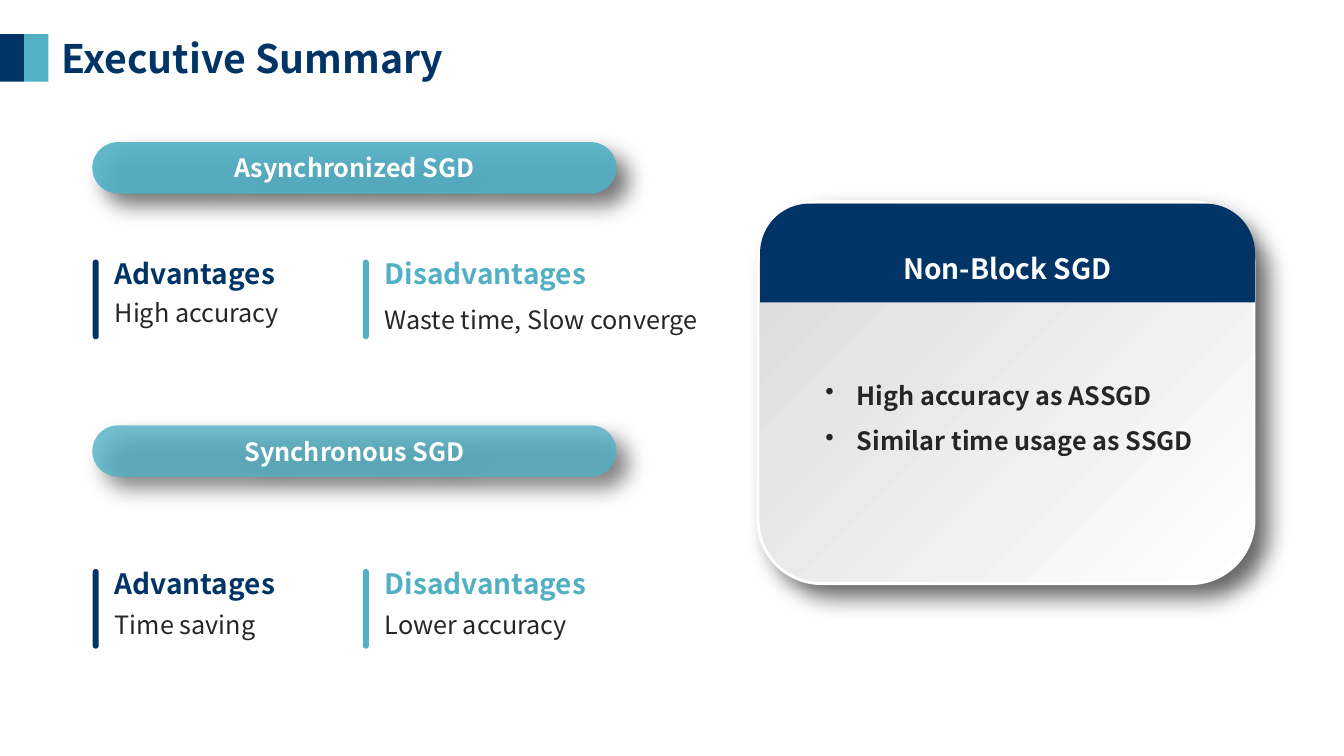
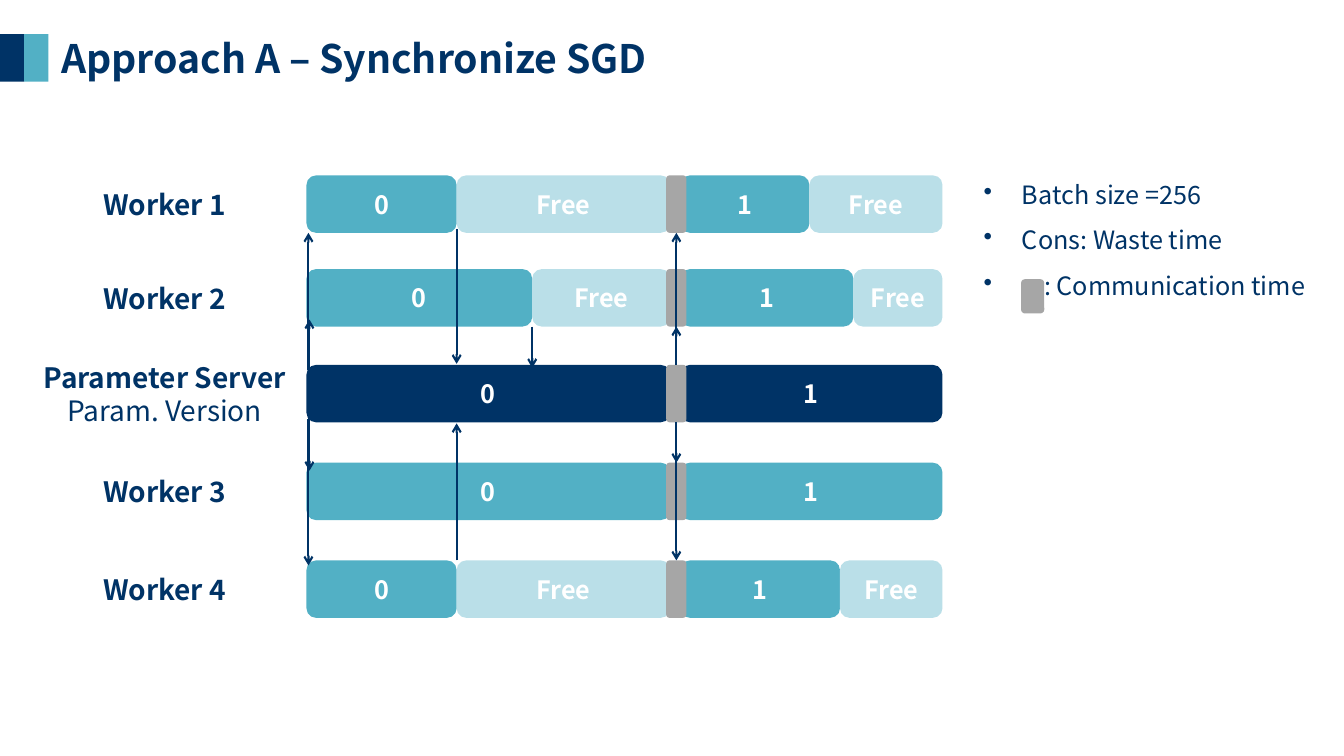
from lxml.etree import SubElement
from pptx import Presentation
from pptx.dml.color import RGBColor
from pptx.enum.shapes import MSO_CONNECTOR, MSO_SHAPE
from pptx.enum.text import MSO_ANCHOR, PP_ALIGN
from pptx.oxml.ns import qn
from pptx.util import Inches, Pt

# Shared look
FONT = "Noto Sans CJK SC"
NAVY, TEAL, PALE = "003366", "52B0C5", "BADFE8"
GREY, INK, WHITE = "A6A6A6", "262626", "FFFFFF"
RECTANGLE, ROUNDED = MSO_SHAPE.RECTANGLE, MSO_SHAPE.ROUNDED_RECTANGLE

# The slide is a grid of 80 columns by 45 rows of square cells
deck = Presentation()
deck.slide_width, deck.slide_height = Inches(13.333), Inches(7.5)
CELL = deck.slide_height // 45


def cells(count):
    return int(count * CELL)


def add_box(page, frame, text="", kind=None, fill=None, color=WHITE, size=18,
            bold=True, align=PP_ALIGN.CENTER, bullet=None):
    """Add a filled shape, or a plain text box when no kind is given."""
    place = [cells(value) for value in frame]
    if kind is None:
        box = page.shapes.add_textbox(*place)
    else:
        box = page.shapes.add_shape(kind, *place)
        box.shadow.inherit = False
        box.fill.solid()
        box.fill.fore_color.rgb = RGBColor.from_string(fill)
        box.line.fill.background()
        box.text_frame.margin_left = box.text_frame.margin_right = 0
        box.text_frame.vertical_anchor = MSO_ANCHOR.MIDDLE
    box.text_frame.word_wrap = True
    box.text_frame.text = text
    for para in box.text_frame.paragraphs:
        para.alignment = align
        for span in para.runs:
            span.font.name, span.font.size, span.font.bold = FONT, Pt(size), bold
            span.font.color.rgb = RGBColor.from_string(color)
        if bullet:
            para.line_spacing = 1.5
            properties = para._p.get_or_add_pPr()
            properties.set("marL", str(cells(bullet)))
            properties.set("indent", str(-cells(bullet)))
            SubElement(properties, qn("a:buChar")).set("char", "•")
    return box


# Title and colour blocks on both slides
pages = []
for title in ("Executive Summary", "Approach A – Synchronize SGD"):
    page = deck.slides.add_slide(deck.slide_layouts[6])
    for column, fill in enumerate((NAVY, TEAL)):
        add_box(page, (column * 1.44, 2.04, 1.44, 2.82), kind=RECTANGLE, fill=fill)
    add_box(page, (3.06, 1.74, 50, 3.42), title, color=NAVY, size=28,
            align=PP_ALIGN.LEFT)
    pages.append(page)
summary, approach = pages

# Summary: two methods, each with its pros and cons
methods = (
    ("Asynchronized SGD", 90, 8.46, 15,
     (("High accuracy", 2.4), ("Waste time, Slow converge", 2.82))),
    ("Synchronous SGD", 80, 25.32, 33.42,
     (("Time saving", 2.58), ("Lower accuracy", 2.58))),
)
columns = (("Advantages", NAVY, 5.52), ("Disadvantages", TEAL, 21.6))
raised = []
for method, opacity, pill_top, top, details in methods:
    pill = add_box(summary, (5.5, pill_top, 31.2, 3.06), method, ROUNDED, TEAL)
    pill.adjustments[0] = 0.5
    tint = pill._element.spPr.find(qn("a:solidFill"))[0]
    SubElement(tint, qn("a:alpha")).set("val", str(opacity * 1000))
    raised.append(pill)
    for (heading, color, left), (detail, drop) in zip(columns, details):
        accent = add_box(summary, (left, top + 0.45, 0.36, 4.74), kind=ROUNDED, fill=color)
        accent.adjustments[0] = 0.5
        add_box(summary, (left + 0.72, top, 15, 2.64), heading, color=color,
                size=20, align=PP_ALIGN.LEFT)
        add_box(summary, (left + 0.72, top + drop, 21, 2.4), detail, color=INK,
                bold=False, align=PP_ALIGN.LEFT)

# Summary: card with the proposed method
card = add_box(summary, (45.12, 12, 29.52, 22.74), kind=ROUNDED, fill=WHITE)
card.fill.gradient()
card.fill.gradient_angle = 135
for stop, color in zip(card.fill.gradient_stops, (WHITE, "D9D9D9")):
    stop.color.rgb = RGBColor.from_string(color)
card.line.color.rgb = RGBColor.from_string(WHITE)
card.line.width = Pt(2)
raised.append(card)
header = add_box(summary, (45.24, 12.12, 29.46, 5.88), "Non-Block SGD",
                 MSO_SHAPE.ROUND_2_SAME_RECTANGLE, NAVY, size=20)
header.adjustments[0] = 0.5
header.text_frame.margin_top = cells(1.26)
add_box(summary, (48.54, 21.42, 26.52, 5.76),
        "High accuracy as ASSGD\nSimilar time usage as SSGD",
        color=INK, align=PP_ALIGN.LEFT, bullet=1.86)

# Soft shadow under the pills and the card
for box in raised:
    effects = box._element.spPr.find(qn("a:effectLst"))
    shadow = SubElement(effects, qn("a:outerShdw"), blurRad=str(Pt(16)),
                        dist=str(Pt(12)), dir=str(45 * 60000), algn="tl", rotWithShape="0")
    shade = SubElement(shadow, qn("a:srgbClr"), val="000000")
    SubElement(shade, qn("a:alpha"), val="60000")

# Approach: timeline rows with the ends of steps 0 and 1
BAR_HEIGHT = 3.42
START, BARRIER, RESUME, END = 18.24, 39.9, 40.5, 56.1
rows = (
    ("Worker 1", 10.44, 27.18, 48.18),
    ("Worker 2", 16.02, 31.68, 50.8),
    ("Parameter Server\nParam. Version", 21.72, BARRIER, END),
    ("Worker 3", 27.54, BARRIER, END),
    ("Worker 4", 33.36, 27.18, 50),
)
pauses = []
for label, top, *finishes in rows:
    name = add_box(approach, (1.8, top, 16, BAR_HEIGHT), label, color=NAVY, size=20)
    name.text_frame.vertical_anchor = MSO_ANCHOR.MIDDLE
    for para in name.text_frame.paragraphs[1:]:
        para.runs[0].font.bold = False
    fill = NAVY if label.startswith("Parameter") else TEAL
    for step, (begin, limit) in enumerate(((START, BARRIER), (RESUME, END))):
        finish = finishes[step]
        add_box(approach, (begin, top, finish - begin, BAR_HEIGHT), str(step), ROUNDED, fill)
        if finish < limit:
            add_box(approach, (finish, top, limit - finish, BAR_HEIGHT), "Free", ROUNDED, PALE)
    pauses.append(add_box(approach, (39.66, top, 1.2, BAR_HEIGHT), kind=ROUNDED, fill=GREY))

# Approach: arrows as column, first row and last row
arrows = [approach.shapes.add_connector(
    MSO_CONNECTOR.STRAIGHT, cells(column), cells(first), cells(column), cells(last))
    for column, first, last in (
        (27.18, 13.62, 21.66), (31.68, 19.44, 21.9), (27.18, 33.36, 25.2),
        (18.36, 22.02, 13.86), (18.42, 24.48, 19.02),
        (18.36, 24.96, 33.66), (18.42, 24.36, 28.02))]

# Approach: the server's pause joined to each worker's pause
for row, server_side, worker_side in ((0, 0, 2), (1, 0, 2), (3, 2, 0), (4, 2, 0)):
    arrow = approach.shapes.add_connector(MSO_CONNECTOR.STRAIGHT, 0, 0, 0, 0)
    arrow.begin_connect(pauses[2], server_side)
    arrow.end_connect(pauses[row], worker_side)
    arrows.append(arrow)
for arrow in arrows:
    arrow.line.color.rgb = RGBColor.from_string(NAVY)
    arrow.line.width = Pt(1.5)
    SubElement(arrow.line._get_or_add_ln(), qn("a:tailEnd")).set("type", "arrow")
    SubElement(arrow._element.spPr, qn("a:effectLst"))

# Approach: notes, the last one indented past its colour key
notes = add_box(approach, (57.96, 9.48, 21.9, 9),
                "Batch size =256\nCons: Waste time\n: Communication time",
                color=NAVY, bold=False, align=PP_ALIGN.LEFT, bullet=2.28)
key_note = notes.text_frame.paragraphs[-1]._p.get_or_add_pPr()
key_note.set("marL", str(cells(3.6)))
key_note.set("indent", str(-cells(3.6)))
add_box(approach, (60.78, 16.62, 1.38, 2.04), kind=ROUNDED, fill=GREY)

deck.save("out.pptx")
